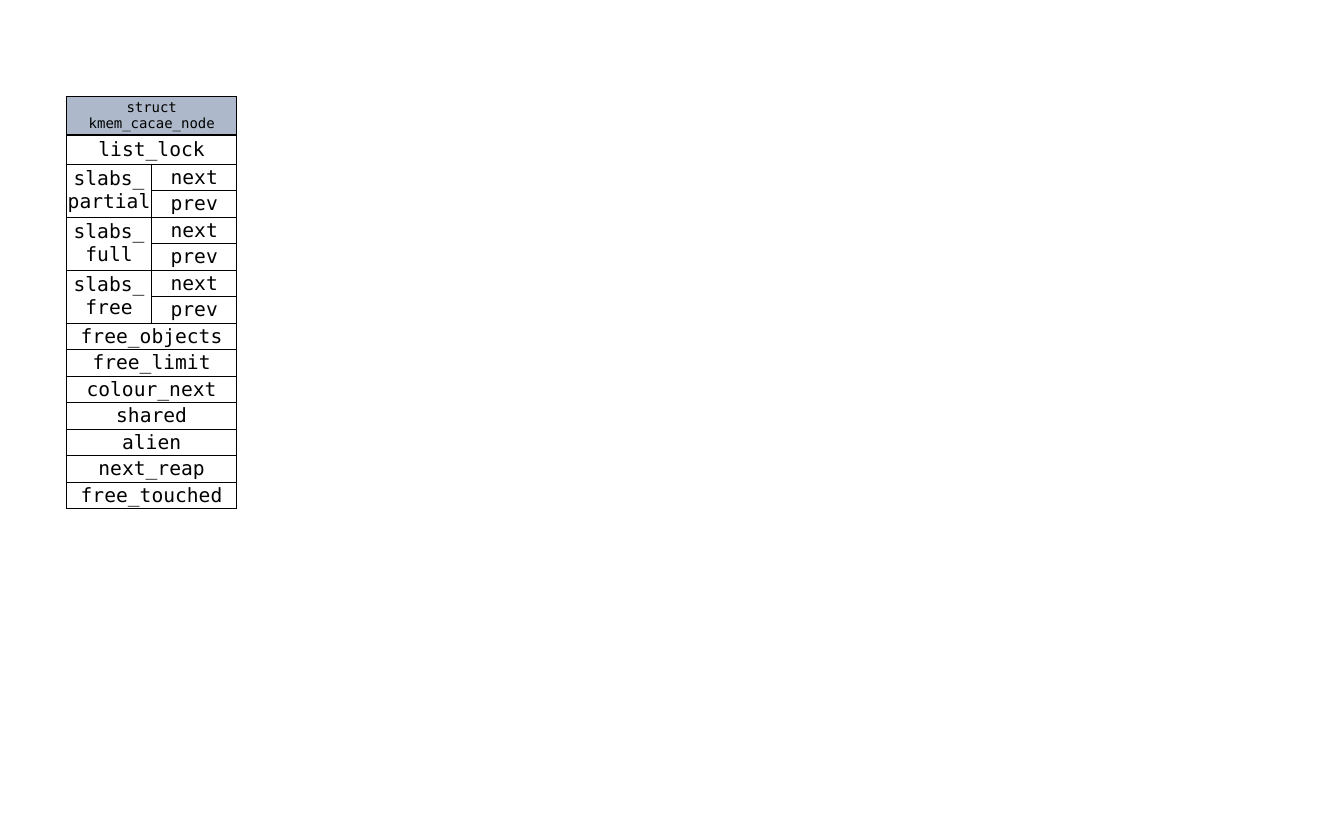
import pptx
import pptx.dml.color
import pptx.enum.text
import pptx.oxml
import pptx.oxml.ns
import pptx.util
from pptx.util import Inches

COLORS = {"text": "000000", "border": "000000", "header": "ADB9CA"}
FONT = "DejaVu Sans Mono"
HEADER = "struct kmem_cacae_node"
LISTS = ["partial", "full", "free"]
FIELDS = ["free_objects", "free_limit", "colour_next", "shared", "alien",
          "next_reap", "free_touched"]
CELL_FORMAT = {
    "margin_left": 0, "margin_right": 0, "margin_top": 0, "margin_bottom": 0,
    "vertical_anchor": pptx.enum.text.MSO_ANCHOR.MIDDLE,
}
TABLE_FORMAT = {"first_row": False, "horz_banding": False}


def apply_format(target, values):
    for name, value in values.items():
        setattr(target, name, value)


def add_borders(cell):
    properties = cell._tc.get_or_add_tcPr()
    for side in ("lnL", "lnR", "lnT", "lnB"):
        properties.append(pptx.oxml.parse_xml(
            f'<a:{side} {pptx.oxml.ns.nsdecls("a")} w="{pptx.util.Pt(1)}">'
            f'<a:solidFill><a:srgbClr val="{COLORS["border"]}"/></a:solidFill>'
            f'</a:{side}>'))


def write_cell(cell, text, size=14):
    cell.text = text
    for paragraph in cell.text_frame.paragraphs:
        paragraph.alignment = pptx.enum.text.PP_ALIGN.CENTER
        for run in paragraph.runs:
            apply_format(run.font, {"name": FONT, "size": pptx.util.Pt(size), "bold": False})
            run.font.color.rgb = pptx.dml.color.RGBColor.from_string(COLORS["text"])


def add_struct_table(slide, left, top, width, height):
    first_field = 2 + 2 * len(LISTS)
    row_count = first_field + len(FIELDS)
    frame = slide.shapes.add_table(row_count, 2, Inches(left), Inches(top),
                                   Inches(width), Inches(height))
    table = frame.table
    apply_format(table, TABLE_FORMAT)

    # Row heights: header, lock, then equal rows
    heights = [0.38, 0.29]
    heights += [(height - sum(heights)) / (row_count - 2)] * (row_count - 2)
    for row, row_height in zip(table.rows, heights):
        row.height = Inches(row_height)

    # Cell borders and fills
    for cell in table.iter_cells():
        apply_format(cell, CELL_FORMAT)
        add_borders(cell)
        cell.fill.background()

    # Header and single fields across both columns
    full_rows = {0: HEADER, 1: "list_lock"}
    full_rows.update(enumerate(FIELDS, first_field))
    for row, text in full_rows.items():
        table.cell(row, 0).merge(table.cell(row, 1))
        write_cell(table.cell(row, 0), text, 10 if row == 0 else 14)
    header_fill = table.cell(0, 0).fill
    header_fill.solid()
    header_fill.fore_color.rgb = pptx.dml.color.RGBColor.from_string(COLORS["header"])

    # List heads with their two pointers
    for index, name in enumerate(LISTS):
        row = 2 + 2 * index
        table.cell(row, 0).merge(table.cell(row + 1, 0))
        write_cell(table.cell(row, 0), f"slabs_\n{name}")
        for offset, pointer in enumerate(("next", "prev")):
            write_cell(table.cell(row + offset, 1), pointer)


def main():
    presentation = pptx.Presentation()
    # Wide slide with the height of A4 paper, 21 cm
    presentation.slide_width = Inches(40 / 3)
    presentation.slide_height = Inches(21 / 2.54)
    slide = presentation.slides.add_slide(presentation.slide_layouts[6])
    add_struct_table(slide, 0.66, 0.96, 1.69, 4.09)
    presentation.save("out.pptx")


if __name__ == "__main__":
    main()
